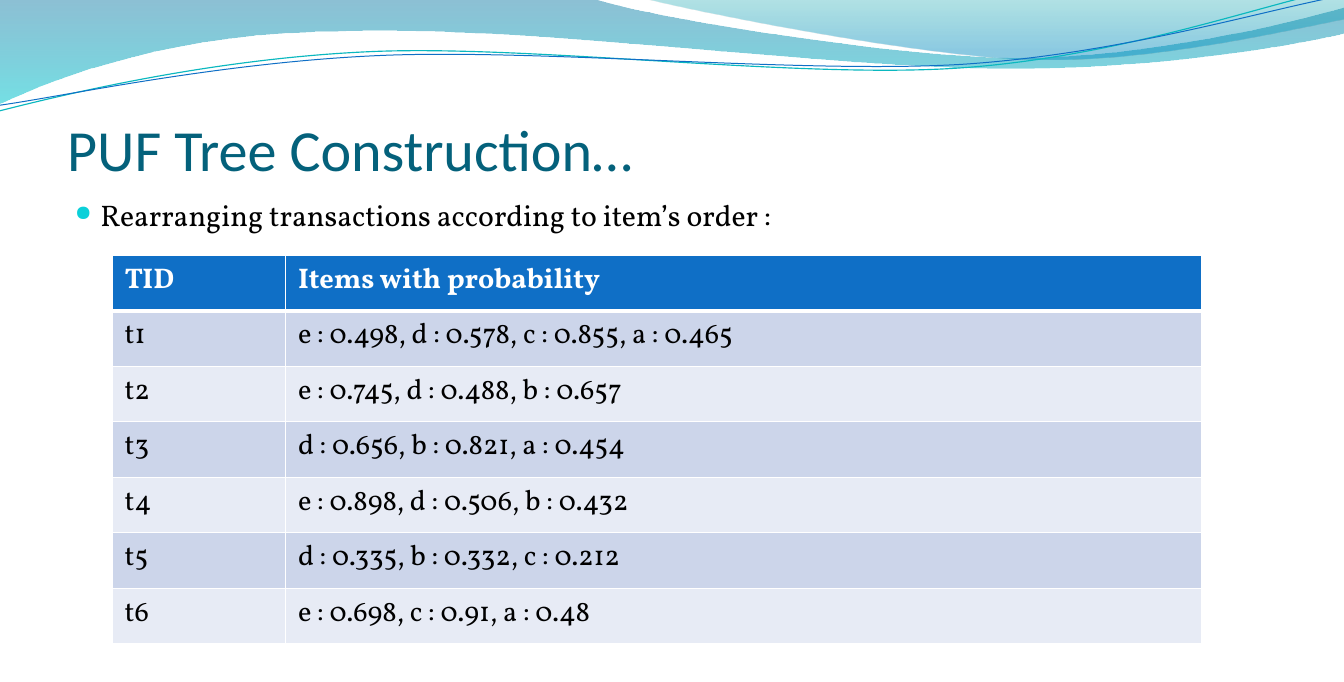
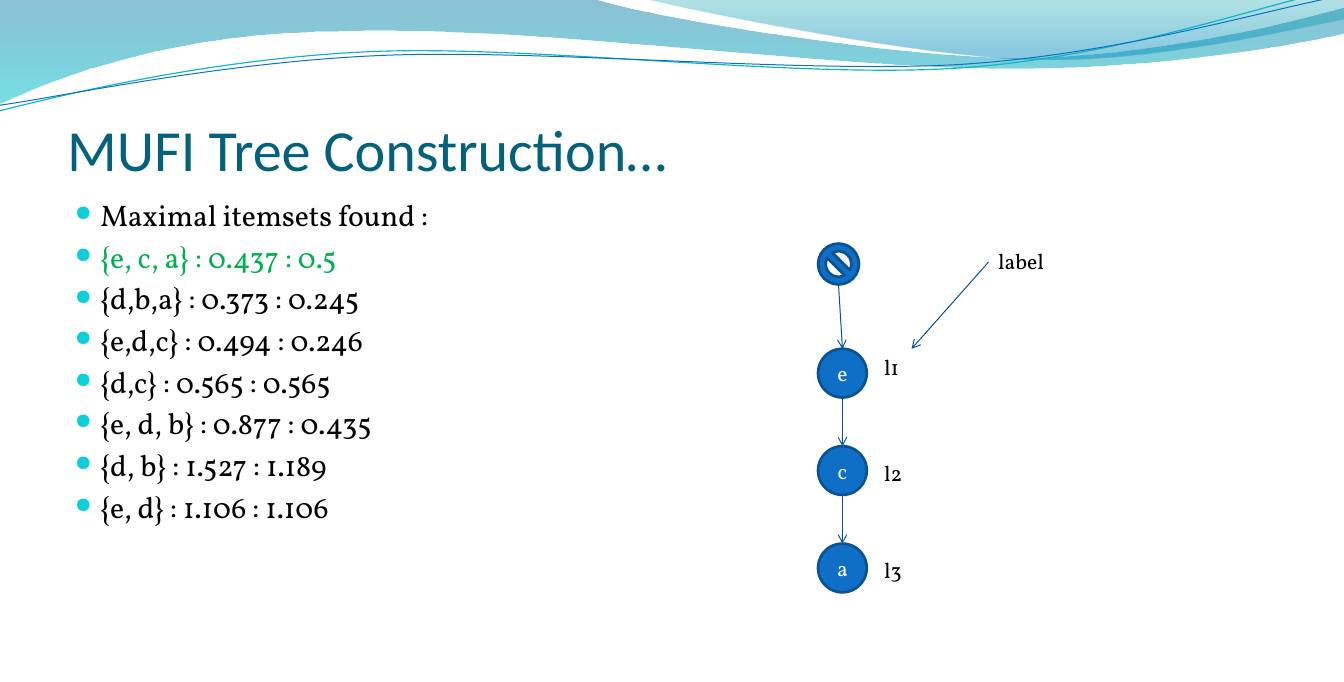
import pptx
import pptx.util
import pptx.dml.color
import pptx.enum.dml
import pptx.enum.shapes
import pptx.enum.text
import pptx.oxml.ns
import lxml.etree

RGB = pptx.dml.color.RGBColor
KIND = pptx.enum.shapes.MSO_SHAPE
ANCHOR = pptx.enum.text.MSO_ANCHOR
ALIGN = pptx.enum.text.PP_ALIGN
Pt = pptx.util.Pt
qn = pptx.oxml.ns.qn

# Scale: 100 px to the inch
SCALE = 9144
WIDE, HIGH = 1380, 700

# Colours
WHITE = RGB(0xFF, 0xFF, 0xFF)
BLACK = RGB(0x00, 0x00, 0x00)
GREEN = RGB(0x00, 0xB0, 0x50)
TITLE = RGB(0x04, 0x61, 0x7B)
BULLET = RGB(0x0B, 0xD0, 0xD9)
BLUE = RGB(0x0F, 0x6F, 0xC6)
EDGE = RGB(0x0B, 0x52, 0x92)
ARROW = RGB(0x09, 0x52, 0x95)
TEAL = RGB(0x0A, 0xB8, 0xBF)
ROWS = (RGB(0xE7, 0xEB, 0xF5), RGB(0xCC, 0xD5, 0xEA))

HEAD_FONT, BODY_FONT = "Calibri", "Vollkorn"

# Waves: start point, then lines (x, y) and curves (x1, y1, x2, y2, x, y)
# Gradient stops: place, colour, opacity in percent
BANDS = (
    (((0, 0), (608, -1), (656, 16, 916, 59, 1047, 59),
      (1177, 59, 1323, 24, 1380, 8), (1381, 34),
      (1357, 41, 1200, 71, 1029, 70), (858, 70, 527, 26, 355, 32),
      (178, 33, 63, 77, -1, 106)),
     ((0, RGB(0x00, 0x74, 0xA1), 45), (1, RGB(0x00, 0xC6, 0xCF), 55))),
    (((661, -1), (703, 10, 941, 58, 1061, 61),
      (1181, 64, 1327, 30, 1380, 20), (1380, 0)),
     ((0, RGB(0x00, 0xA1, 0xA9), 30), (0.8, RGB(0x00, 0x8B, 0xBF), 45))),
)
WAVES = (
    (((-1, 114), (66, 97, 218, 60, 382, 53), (546, 46, 817, 81, 983, 70),
      (1149, 59, 1295, 5, 1378, -12)), TEAL, 0.85),
    (((0, 108), (65, 99, 226, 64, 391, 57), (556, 50, 824, 76, 989, 66),
      (1154, 55, 1299, 10, 1381, -5)), BLUE, 0.75),
)


def px(size):
    return round(size * SCALE)


def add(node, tag, **attrs):
    return lxml.etree.SubElement(node, qn(tag), attrs)


class Deck:
    def __init__(self):
        self.file = pptx.Presentation()
        self.file.slide_width, self.file.slide_height = px(WIDE), px(HIGH)
        self.slide = None

    def page(self, title):
        self.slide = self.file.slides.add_slide(self.file.slide_layouts[6])
        for path, stops in BANDS:
            self.band(path, stops)
        for path, tint, width in WAVES:
            self.wave(path, tint, width)
        frame = self.box(69, 71, 1242, 117, (0, 4, 0, 0))
        frame.vertical_anchor = ANCHOR.BOTTOM
        self.run(frame.paragraphs[0], title, 43, TITLE, HEAD_FONT)

    def outline(self, path, close):
        spots = [part[i:i + 2] for part in path for i in range(0, len(part), 2)]
        maker = self.slide.shapes.build_freeform(*spots[0], scale=SCALE)
        maker.add_line_segments(spots[1:], close=close)
        shape = maker.convert_to_shape()
        shape.shadow.inherit = False
        # Join each three points of a curve into one cubic segment
        lines = iter(list(shape._element.iter(qn("a:lnTo"))))
        for part in path[1:]:
            first = next(lines)
            if len(part) == 6:
                curve = lxml.etree.Element(qn("a:cubicBezTo"))
                first.addprevious(curve)
                for line in (first, next(lines), next(lines)):
                    curve.append(line[0])
                    line.getparent().remove(line)
        return shape

    def band(self, path, stops):
        shape = self.outline(path, True)
        shape.line.fill.background()
        shape.fill.gradient()
        shape.fill.gradient_angle = 270
        for stop, (place, tint, _) in zip(shape.fill.gradient_stops, stops):
            stop.position, stop.color.rgb = place, tint
        tints = shape._element.spPr.iter(qn("a:srgbClr"))
        for node, (_, _, alpha) in zip(tints, stops):
            add(node, "a:alpha", val=str(alpha * 1000))

    def wave(self, path, tint, width):
        shape = self.outline(path, False)
        shape.fill.background()
        shape.line.color.rgb, shape.line.width = tint, Pt(width)

    def run(self, para, text, size, tint=BLACK, face=BODY_FONT, bold=False):
        run = para.add_run()
        run.text = text
        font = run.font
        font.size, font.name, font.bold = Pt(size), face, bold
        font.color.rgb = tint

    def box(self, x, y, w, h, pads=(10, 5, 10, 5)):
        shape = self.slide.shapes.add_textbox(px(x), px(y), px(w), px(h))
        frame = shape.text_frame
        frame.word_wrap = True
        self.pad(frame, pads)
        return frame

    def pad(self, item, pads):
        (item.margin_left, item.margin_top,
         item.margin_right, item.margin_bottom) = map(px, pads)

    def label(self, x, y, w, text):
        frame = self.box(x, y, w, 37)
        frame.auto_size = pptx.enum.text.MSO_AUTO_SIZE.SHAPE_TO_FIT_TEXT
        self.run(frame.paragraphs[0], text, 16)

    def bullets(self, h, items):
        frame = self.box(69, 198, 1242, h, (8, 4, 8, 4))
        for spot, (text, tint) in enumerate(items):
            para = frame.add_paragraph() if spot else frame.paragraphs[0]
            props = para._p.get_or_add_pPr()
            props.set("marL", str(px(26)))
            props.set("indent", str(px(-26)))
            add(add(props, "a:buClr"), "a:srgbClr", val=str(BULLET))
            add(props, "a:buSzPct", val="72000")
            add(props, "a:buChar", char="●")
            if spot:
                para.space_before = Pt(4.4)
            self.run(para, text, 22, tint)

    def border(self, cell, side, width):
        line = add(cell._tc.get_or_add_tcPr(), "a:ln" + side, w=str(Pt(width)))
        add(add(line, "a:solidFill"), "a:srgbClr", val=str(WHITE))

    def table(self, x, y, cols, high, rows):
        grid = self.slide.shapes.add_table(
            len(rows), len(cols), px(x), px(y),
            px(sum(cols)), px(high * len(rows))).table
        for col, width in zip(grid.columns, cols):
            col.width = px(width)
        for r, texts in enumerate(rows):
            grid.rows[r].height = px(high)
            for c, text in enumerate(texts):
                cell = grid.cell(r, c)
                self.pad(cell, (13, 6, 13, 6))
                for side in "LRTB":
                    thick = (r, side) in ((0, "B"), (1, "T"))
                    self.border(cell, side, 3 if thick else 1)
                cell.fill.solid()
                cell.fill.fore_color.rgb = ROWS[r % 2] if r else BLUE
                self.run(cell.text_frame.paragraphs[0], text, 21,
                         BLACK if r else WHITE, bold=not r)

    def node(self, kind, x, y, size, text=""):
        shape = self.slide.shapes.add_shape(kind, px(x), px(y), px(size), px(size))
        shape.shadow.inherit = False
        shape.fill.solid()
        shape.fill.fore_color.rgb = BLUE
        shape.line.color.rgb, shape.line.width = EDGE, Pt(2)
        if text:
            frame = shape.text_frame
            self.pad(frame, (0, 0, 0, 0))
            frame.vertical_anchor = ANCHOR.MIDDLE
            frame.paragraphs[0].alignment = ALIGN.CENTER
            self.run(frame.paragraphs[0], text, 16, WHITE)

    def arrow(self, x1, y1, x2, y2):
        link = self.slide.shapes.add_connector(
            pptx.enum.shapes.MSO_CONNECTOR.STRAIGHT, px(x1), px(y1), px(x2), px(y2))
        link.line.color.rgb, link.line.width = ARROW, Pt(0.75)
        add(link.line._get_or_add_ln(), "a:tailEnd", type="arrow")
        add(link._element.spPr, "a:effectLst")


def main():
    deck = Deck()

    # Slide 1: sorted transactions
    deck.page("PUF Tree Construction…")
    deck.bullets(448, [("Rearranging transactions according to item’s order :", BLACK)])
    deck.table(115, 262, (178, 941), 57, (
        ("TID", "Items with probability"),
        ("t1", "e : 0.498, d : 0.578, c : 0.855, a : 0.465"),
        ("t2", "e : 0.745, d : 0.488, b : 0.657"),
        ("t3", "d : 0.656, b : 0.821, a : 0.454"),
        ("t4", "e : 0.898, d : 0.506, b : 0.432"),
        ("t5", "d : 0.335, b : 0.332, c : 0.212"),
        ("t6", "e : 0.698, c : 0.91, a : 0.48"),
    ))

    # Slide 2: itemsets and the first branch
    deck.page("MUFI Tree Construction…")
    deck.bullets(502, (
        ("Maximal itemsets found :", BLACK),
        ("{e, c, a} : 0.437 : 0.5", GREEN),
        ("{d,b,a} : 0.373 : 0.245", BLACK),
        ("{e,d,c} : 0.494 : 0.246", BLACK),
        ("{d,c} : 0.565 : 0.565", BLACK),
        ("{e, d, b} : 0.877 : 0.435", BLACK),
        ("{d, b} : 1.527 : 1.189", BLACK),
        ("{e, d} : 1.106 : 1.106", BLACK),
    ))

    # Tree: root, then one node per level
    left, top, size, step = 840, 358, 50, 100
    mid = left + size // 2
    deck.node(KIND.NO_SYMBOL, left, 250, 42)
    start = (861, 292)
    for level, (item, note) in enumerate((("e", 358), ("c", 467), ("a", 567))):
        y = top + level * step
        deck.node(KIND.OVAL, left, y, size, item)
        deck.arrow(*start, mid, y)
        deck.label(898, note, 75, f"l{level + 1}")
        start = (mid, y + size)

    # Callout
    deck.label(1015, 250, 92, "label")
    deck.arrow(1015, 269, 936, 358)

    deck.file.save("out.pptx")


if __name__ == "__main__":
    main()
